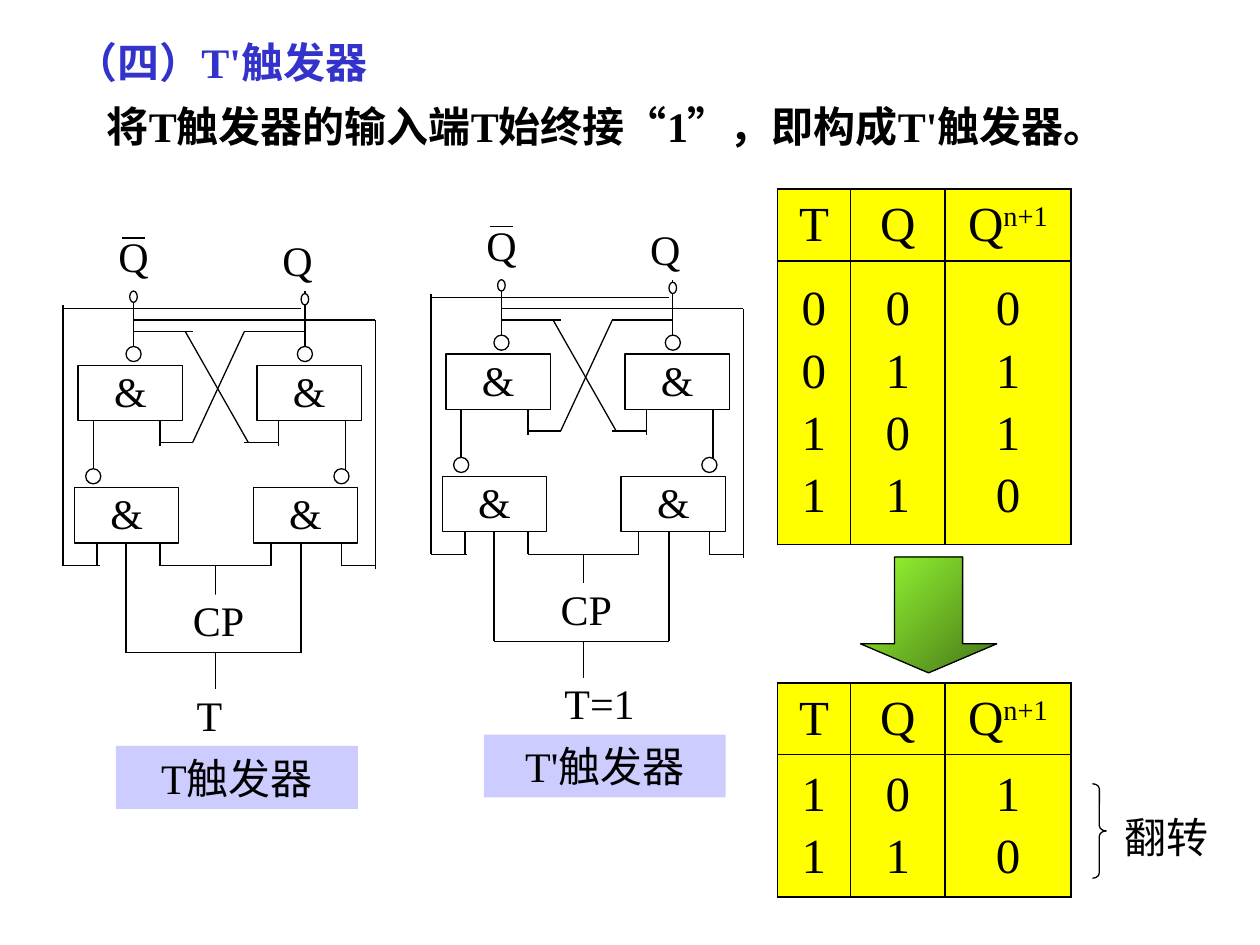
from dataclasses import dataclass
from itertools import pairwise

from lxml import etree
from pptx import Presentation
from pptx.dml.color import RGBColor
from pptx.enum import shapes, text
from pptx.oxml.ns import qn
from pptx.util import Inches, Pt


@dataclass(frozen=True)
class Theme:
    font: str = "Times New Roman"
    ink: str = "000000"
    heading: str = "3333CC"
    paper: str = "FFFFFF"
    caption: str = "CCCCFF"
    table: str = "FFFF00"
    arrow_light: str = "99FF33"
    arrow_dark: str = "477618"
    body_size: int = 24
    table_size: int = 28
    wire: float = 0.75
    border: float = 1


@dataclass(frozen=True)
class Circuit:
    dx: float
    dy: float
    input_label: str
    input_width: float
    caption: str


@dataclass(frozen=True)
class TruthTable:
    top: float
    body_height: float
    columns: tuple[str, str, str]


THEME = Theme()
PRESET = shapes.MSO_SHAPE
ALIGN = text.PP_ALIGN

# Parts of one flip-flop, in the place of the left-hand circuit
CENTER, LEFT_Q, RIGHT_Q = 1.71, 1.06, 2.42
GATES = [(0.62, 2.9), (2.04, 2.9), (0.59, 3.87), (2.01, 3.87)]
BUBBLES = [(1, 2.75), (2.36, 2.75), (0.68, 3.72), (2.65, 3.72)]
TERMINALS = [(1.03, 2.31), (2.39, 2.33)]
WIRES = [
    # Outputs and links between upper and lower gates
    [(LEFT_Q, 2.75), (LEFT_Q, 2.31)],
    [(RIGHT_Q, 2.75), (RIGHT_Q, 2.31)],
    [(0.74, 3.34), (0.74, 3.81)],
    [(2.74, 3.34), (2.74, 3.81)],
    # Cross coupling
    [(1.27, 3.34), (1.27, 3.54)],
    [(2.21, 3.34), (2.21, 3.54)],
    [(1.27, 3.51), (1.53, 3.51), (1.94, 2.63), (RIGHT_Q, 2.63)],
    [(2.21, 3.51), (1.94, 3.51)],
    [(LEFT_Q, 2.63), (1.53, 2.63)],
    [(1.47, 2.63), (1.97, 3.51)],
    # Outer feedback
    [(2.71, 4.31), (2.71, 4.49), (2.98, 4.49)],
    [(2.98, 4.52), (2.98, 2.54), (LEFT_Q, 2.54)],
    [(0.77, 4.31), (0.77, 4.49)],
    [(0.79, 4.49), (0.5, 4.49), (0.5, 2.42)],
    [(0.5, 2.45), (2.39, 2.45)],
    # Clock and T input
    [(1.27, 4.31), (1.27, 4.49), (2.15, 4.49), (2.15, 4.31)],
    [(CENTER, 4.49), (CENTER, 4.72)],
    [(1, 4.31), (1, 5.18), (2.39, 5.18), (2.39, 4.31)],
    [(CENTER, 5.18), (CENTER, 5.47)],
]
OVERBAR = [(0.97, 1.89), (1.15, 1.89)]

CIRCUITS = [
    Circuit(0, 0, "T", 0.32, "T触发器"),
    Circuit(2.92, -0.09, "T=1", 0.77, "T'触发器"),
]
TABLES = [
    TruthTable(1.5, 2.25, ("0011", "0101", "0110")),
    TruthTable(5.42, 1.13, ("11", "01", "10")),
]


def rgb(value: str) -> RGBColor:
    return RGBColor.from_string(value)


def add_run(paragraph, words: str, size: int, color: str = THEME.ink, bold: bool = False):
    run = paragraph.add_run()
    run.text = words
    run.font.name, run.font.size, run.font.bold = THEME.font, Pt(size), bold
    run.font.color.rgb = rgb(color)
    return run


def write(shape, words: str, align=ALIGN.LEFT, color: str = THEME.ink,
          bold: bool = False, side: float = 0.1, edge: float = 0.05,
          grow: bool = False) -> None:
    frame = shape.text_frame
    frame.word_wrap = True
    frame.vertical_anchor = text.MSO_ANCHOR.TOP
    frame.margin_left = frame.margin_right = Inches(side)
    frame.margin_top = frame.margin_bottom = Inches(edge)
    if grow:
        frame.auto_size = text.MSO_AUTO_SIZE.SHAPE_TO_FIT_TEXT
    paragraph = frame.paragraphs[0]
    paragraph.alignment = align
    add_run(paragraph, words, THEME.body_size, color, bold)


def add_text(slide, x: float, y: float, w: float, words: str, **style) -> None:
    box = slide.shapes.add_textbox(Inches(x), Inches(y), Inches(w), Inches(0.5))
    write(box, words, grow=True, **style)


def add_shape(slide, preset, x: float, y: float, w: float, h: float,
              fill: str | None = THEME.paper, outlined: bool = True):
    shape = slide.shapes.add_shape(preset, Inches(x), Inches(y), Inches(w), Inches(h))
    shape.shadow.inherit = False
    if fill:
        shape.fill.solid()
        shape.fill.fore_color.rgb = rgb(fill)
    else:
        shape.fill.background()
    if outlined:
        shape.line.color.rgb = rgb(THEME.ink)
        shape.line.width = Pt(THEME.wire)
    else:
        shape.line.fill.background()
    return shape


def add_wire(slide, points: list[tuple[float, float]], dx: float, dy: float) -> None:
    for (x1, y1), (x2, y2) in pairwise(points):
        wire = slide.shapes.add_connector(
            shapes.MSO_CONNECTOR.STRAIGHT,
            Inches(x1 + dx), Inches(y1 + dy), Inches(x2 + dx), Inches(y2 + dy))
        wire.line.color.rgb = rgb(THEME.ink)
        wire.line.width = Pt(THEME.wire)
        etree.SubElement(wire._element.spPr, qn("a:effectLst"))


def draw_circuit(slide, circuit: Circuit) -> None:
    dx, dy = circuit.dx, circuit.dy
    for points in WIRES:
        add_wire(slide, points, dx, dy)
    for x, y in GATES:
        gate = add_shape(slide, PRESET.RECTANGLE, x + dx, y + dy, 0.83, 0.44)
        write(gate, "&", ALIGN.CENTER, edge=0)
    for x, y in BUBBLES:
        add_shape(slide, PRESET.OVAL, x + dx, y + dy, 0.12, 0.12)
    for x, y in TERMINALS:
        add_shape(slide, PRESET.OVAL, x + dx, y + dy, 0.06, 0.09)
    labels = [("Q", 0.94, 1.83, 0.32), ("Q", 2.24, 1.86, 0.32), ("CP", 1.53, 4.72, 0.42),
              (circuit.input_label, 1.56, 5.47, circuit.input_width)]
    for words, x, y, width in labels:
        label = add_shape(slide, PRESET.RECTANGLE, x + dx, y + dy, width, 0.41, outlined=False)
        write(label, words, side=0, edge=0)
    add_wire(slide, OVERBAR, dx, dy)
    caption = add_shape(slide, PRESET.RECTANGLE, 0.92 + dx, 5.92 + dy, 1.92, 0.5,
                        THEME.caption, outlined=False)
    write(caption, circuit.caption, ALIGN.CENTER, grow=True)


def style_cell(cell) -> None:
    cell.vertical_anchor = text.MSO_ANCHOR.MIDDLE
    properties = cell._tc.get_or_add_tcPr()
    for side in ("a:lnL", "a:lnR", "a:lnT", "a:lnB"):
        border = etree.SubElement(properties, qn(side), w=str(Pt(THEME.border)))
        fill = etree.SubElement(border, qn("a:solidFill"))
        etree.SubElement(fill, qn("a:srgbClr"), val=THEME.ink)
    cell.fill.solid()
    cell.fill.fore_color.rgb = rgb(THEME.table)


def draw_table(slide, truth: TruthTable) -> None:
    widths, heights = (0.58, 0.75, 1), (0.57, truth.body_height)
    table = slide.shapes.add_table(2, 3, Inches(6.17), Inches(truth.top),
                                   Inches(sum(widths)), Inches(sum(heights))).table
    table.first_row = table.horz_banding = False
    for row, height in zip(table.rows, heights):
        row.height = Inches(height)
    for index, (name, values) in enumerate(zip("TQQ", truth.columns)):
        table.columns[index].width = Inches(widths[index])
        for row, lines in enumerate((name, values)):
            cell = table.cell(row, index)
            style_cell(cell)
            frame = cell.text_frame
            for number, value in enumerate(lines):
                paragraph = frame.add_paragraph() if number else frame.paragraphs[0]
                paragraph.alignment = ALIGN.CENTER
                if number:
                    paragraph.space_before = Pt(4.5)
                add_run(paragraph, value, THEME.table_size)
    # Next state is Q with a raised n+1
    power = add_run(table.cell(0, 2).text_frame.paragraphs[0], "n+1", THEME.table_size)
    power.font._element.set("baseline", "30000")


def main() -> None:
    deck = Presentation()
    deck.slide_width, deck.slide_height = Inches(10), Inches(7.5)
    slide = deck.slides.add_slide(deck.slide_layouts[6])

    # Heading and statement
    add_text(slide, 0.5, 0.24, 8.67, "（四）T'触发器", color=THEME.heading, bold=True)
    add_text(slide, 0.75, 0.75, 8.42, "将T触发器的输入端T始终接“1”，即构成T'触发器。", bold=True)

    # Circuits and truth tables
    for circuit in CIRCUITS:
        draw_circuit(slide, circuit)
    for truth in TABLES:
        draw_table(slide, truth)

    # Brace marking the toggling rows
    brace = add_shape(slide, PRESET.RIGHT_BRACE, 8.67, 6.22, 0.11, 0.75, fill=None)
    brace.adjustments[0], brace.adjustments[1] = 0.375, 0.5
    add_text(slide, 8.83, 6.39, 0.92, "翻转")

    # Arrow from the full table to the reduced one
    arrow = add_shape(slide, PRESET.DOWN_ARROW, 6.83, 4.42, 1.08, 0.92)
    arrow.adjustments[0], arrow.adjustments[1] = 0.5, 0.25
    arrow.fill.gradient()
    arrow.fill.gradient_angle = 315
    for stop, color in zip(arrow.fill.gradient_stops, (THEME.arrow_light, THEME.arrow_dark)):
        stop.color.rgb = rgb(color)

    deck.save("out.pptx")


if __name__ == "__main__":
    main()
